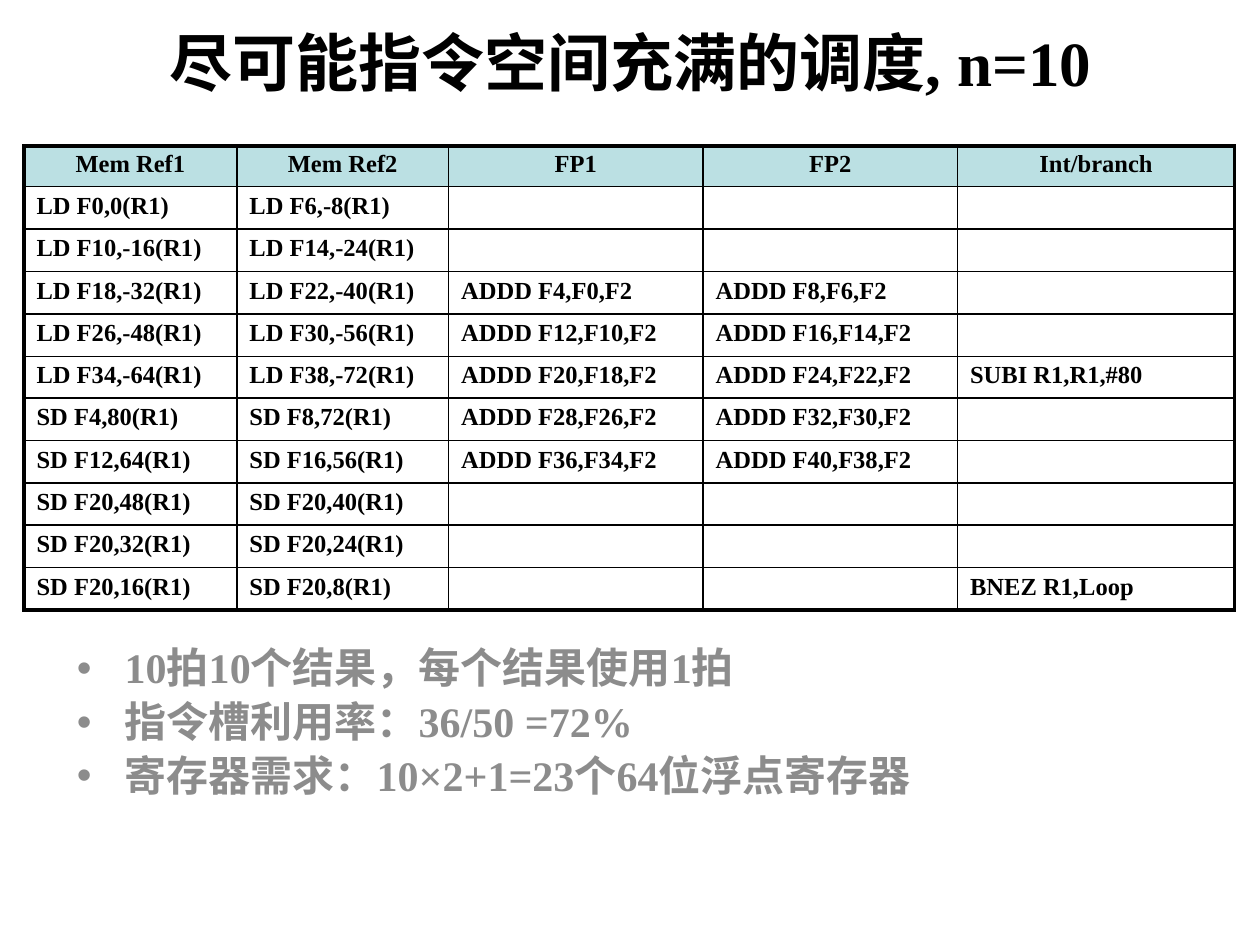
import pptx
import pptx.util
import pptx.dml.color
import pptx.enum.text
import pptx.oxml
import pptx.oxml.ns
from lxml import etree

Inches = pptx.util.Inches
Pt = pptx.util.Pt
ALIGN = pptx.enum.text.PP_ALIGN
MIDDLE = pptx.enum.text.MSO_ANCHOR.MIDDLE
qn = pptx.oxml.ns.qn

COLORS = {"text": "000000", "line": "000000", "header": "BBE0E3", "notes": "8C8C8C"}
FONT = "Times New Roman"
THIN, THICK = 1, 2.25

TITLE = "尽可能指令空间充满的调度, n=10"
COLUMN_WIDTHS = [1.69, 1.68, 2.02, 2.02, 2.2]
HEADER_HEIGHT, ROW_HEIGHT = 0.32, 0.33
SCHEDULE = [
    ["Mem Ref1", "Mem Ref2", "FP1", "FP2", "Int/branch"],
    ["LD F0,0(R1)", "LD F6,-8(R1)", "", "", ""],
    ["LD F10,-16(R1)", "LD F14,-24(R1)", "", "", ""],
    ["LD F18,-32(R1)", "LD F22,-40(R1)", "ADDD F4,F0,F2", "ADDD F8,F6,F2", ""],
    ["LD F26,-48(R1)", "LD F30,-56(R1)", "ADDD F12,F10,F2", "ADDD F16,F14,F2", ""],
    ["LD F34,-64(R1)", "LD F38,-72(R1)", "ADDD F20,F18,F2", "ADDD F24,F22,F2", "SUBI R1,R1,#80"],
    ["SD F4,80(R1)", "SD F8,72(R1)", "ADDD F28,F26,F2", "ADDD F32,F30,F2", ""],
    ["SD F12,64(R1)", "SD F16,56(R1)", "ADDD F36,F34,F2", "ADDD F40,F38,F2", ""],
    ["SD F20,48(R1)", "SD F20,40(R1)", "", "", ""],
    ["SD F20,32(R1)", "SD F20,24(R1)", "", "", ""],
    ["SD F20,16(R1)", "SD F20,8(R1)", "", "", "BNEZ R1,Loop"],
]
NOTES = [
    "10拍10个结果，每个结果使用1拍",
    "指令槽利用率：36/50 =72%",
    "寄存器需求：10×2+1=23个64位浮点寄存器",
]


def rgb(name):
    return pptx.dml.color.RGBColor.from_string(COLORS[name])


def write(paragraph, text, size, color="text", align=ALIGN.LEFT, spacing=None):
    paragraph.alignment = align
    paragraph.line_spacing = spacing
    if not text:
        # An empty paragraph takes its height from its end mark.
        etree.SubElement(paragraph._p, qn("a:endParaRPr"), sz=str(size * 100))
        return
    span = paragraph.add_run()
    span.text = text
    span.font.name = FONT
    span.font.size = Pt(size)
    span.font.bold = True
    span.font.color.rgb = rgb(color)


def place(shape, left, top, width, height):
    shape.left, shape.top = Inches(left), Inches(top)
    shape.width, shape.height = Inches(width), Inches(height)


def set_borders(cell, widths):
    """Draw the left, right, top and bottom borders, widths in points."""
    properties = cell._tc.get_or_add_tcPr()
    for position, (side, width) in enumerate(zip("LRTB", widths)):
        line = etree.Element(qn(f"a:ln{side}"), w=str(Pt(width)))
        fill = etree.SubElement(line, qn("a:solidFill"))
        etree.SubElement(fill, qn("a:srgbClr"), val=COLORS["line"])
        properties.insert(position, line)


def add_title(page):
    box = page.shapes.title
    place(box, 0.2, 0.05, 9.61, 0.87)
    box.text_frame.vertical_anchor = MIDDLE
    write(box.text_frame.paragraphs[0], TITLE, 36, align=ALIGN.CENTER)


def add_schedule(page):
    last_row, last_column = len(SCHEDULE) - 1, len(COLUMN_WIDTHS) - 1
    height = HEADER_HEIGHT + last_row * ROW_HEIGHT
    table = page.shapes.add_table(
        len(SCHEDULE), len(COLUMN_WIDTHS), Inches(0.19), Inches(1.16),
        Inches(sum(COLUMN_WIDTHS)), Inches(height)).table
    table.first_row = table.horz_banding = False
    for column, width in zip(table.columns, COLUMN_WIDTHS):
        column.width = Inches(width)
    for r, texts in enumerate(SCHEDULE):
        header = r == 0
        table.rows[r].height = Inches(HEADER_HEIGHT if header else ROW_HEIGHT)
        for c, text in enumerate(texts):
            cell = table.cell(r, c)
            cell.vertical_anchor = MIDDLE
            if header:
                cell.fill.solid()
                cell.fill.fore_color.rgb = rgb("header")
            else:
                cell.fill.background()
            edges = (c == 0, c == last_column, header, r == last_row)
            set_borders(cell, [THICK if edge else THIN for edge in edges])
            write(cell.text_frame.paragraphs[0], text, 14, spacing=0.8,
                  align=ALIGN.CENTER if header else ALIGN.LEFT)


def add_notes(page):
    box = page.placeholders[1]
    place(box, 0.51, 5.09, 8.98, 2.13)
    frame = box.text_frame
    for index, text in enumerate(NOTES):
        paragraph = frame.add_paragraph() if index else frame.paragraphs[0]
        write(paragraph, text, 24, color="notes", spacing=0.9)
        properties = paragraph._p.get_or_add_pPr()
        properties.set("marL", str(Inches(0.38)))
        properties.set("indent", str(-Inches(0.38)))


def main():
    deck = pptx.Presentation()
    deck.slide_width, deck.slide_height = Inches(10), Inches(7.5)
    page = deck.slides.add_slide(deck.slide_layouts[1])
    add_title(page)
    add_schedule(page)
    add_notes(page)
    deck.save("out.pptx")


if __name__ == "__main__":
    main()
